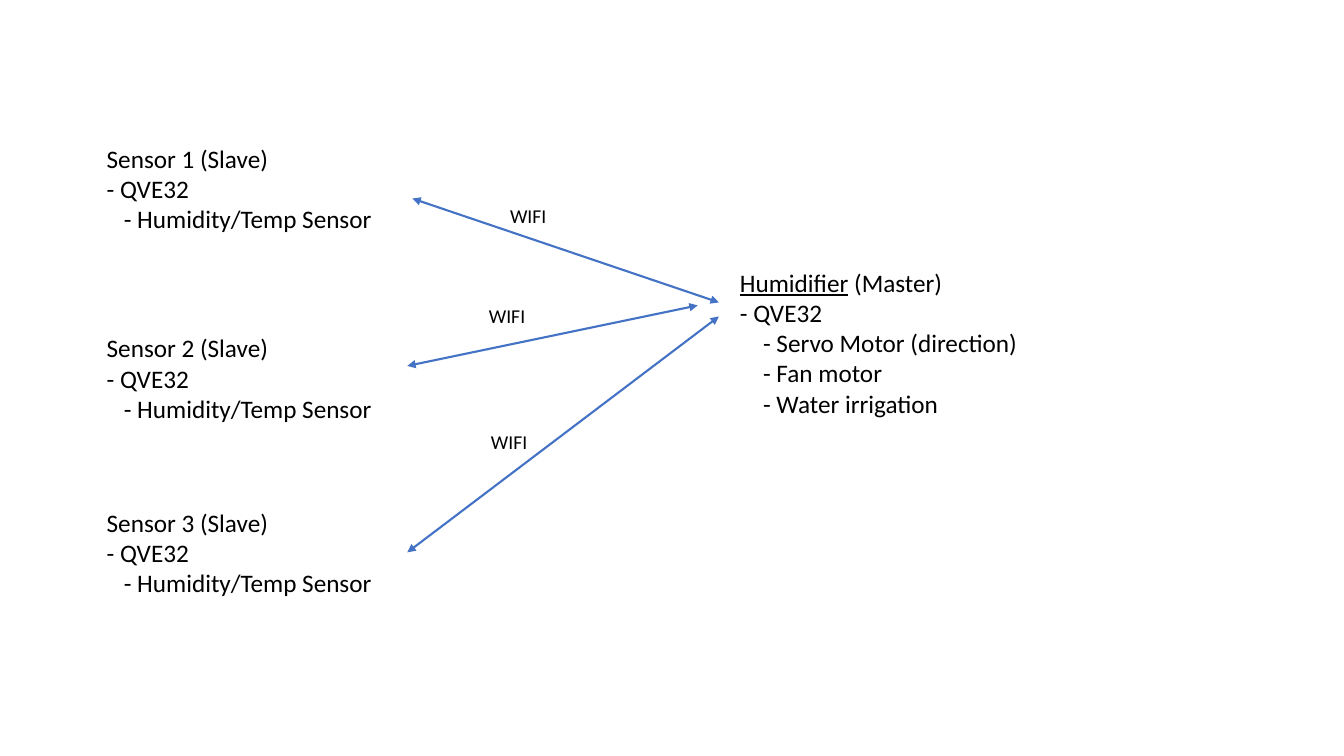
from lxml import etree
from pptx import Presentation
from pptx.dml.color import RGBColor
from pptx.enum.shapes import MSO_CONNECTOR
from pptx.enum.text import MSO_AUTO_SIZE
from pptx.oxml.ns import qn
from pptx.util import Pt

EMU_PER_PX = 9144
STRAIGHT = MSO_CONNECTOR.STRAIGHT
GROW_TO_FIT = MSO_AUTO_SIZE.SHAPE_TO_FIT_TEXT
FONT = "Calibri"
BLACK = "000000"
BLUE = "4472C4"
CONTROLLER = "QVE32"
SENSOR_INDENT = 17
HUMIDIFIER_INDENT = 23


def px(length):
    """Turn a length in px, 100 to the inch, into EMU."""
    return length * EMU_PER_PX


def color(hex_string):
    """Turn a hex string into a colour."""
    return RGBColor.from_string(hex_string)


def add_run(paragraph, text, size, underline=False):
    """Add one run of black text to a paragraph."""
    run = paragraph.add_run()
    run.text = text
    run.font.name = FONT
    run.font.size = Pt(size)
    run.font.color.rgb = color(BLACK)
    if underline:
        run.font.underline = True


def add_text(slide, left, top, width, height, size, lines):
    """Add a text box from lines of (indent, runs), each run being (text, underline)."""
    shape = slide.shapes.add_textbox(px(left), px(top), px(width), px(height))
    frame = shape.text_frame
    frame.word_wrap = True
    frame.auto_size = GROW_TO_FIT
    for index, (indent, runs) in enumerate(lines):
        paragraph = frame.add_paragraph() if index else frame.paragraphs[0]
        if indent:
            paragraph._p.get_or_add_pPr().set("marL", str(px(indent)))
        for text, underline in runs:
            add_run(paragraph, text, size, underline)


def add_device(slide, left, top, width, height, title_runs, parts, indent):
    """Add a device title, its controller and the parts indented below it."""
    lines = [(0, title_runs), (0, [(f"- {CONTROLLER}", False)])]
    lines += [(indent, [(f"- {part}", False)]) for part in parts]
    add_text(slide, left, top, width, height, 18, lines)


def add_double_arrow(slide, start, end):
    """Add a blue line with a triangle at both ends."""
    connector = slide.shapes.add_connector(STRAIGHT, *map(px, start + end))
    connector.line.color.rgb = color(BLUE)
    connector.line.width = Pt(1.5)
    properties = connector.element.spPr
    line = properties.find(qn("a:ln"))
    for end_tag in ("a:headEnd", "a:tailEnd"):
        etree.SubElement(line, qn(end_tag), type="triangle")
    etree.SubElement(properties, qn("a:effectLst"))


def main():
    """Build the sensor network slide and save it."""
    presentation = Presentation()
    presentation.slide_width = px(1333)
    presentation.slide_height = px(750)
    slide = presentation.slides.add_slide(presentation.slide_layouts[6])

    add_device(slide, 724, 260, 432, 162,
               [("Humidifier", True), (" (Master)", False)],
               ["Servo Motor (direction)", "Fan motor", "Water irrigation"],
               HUMIDIFIER_INDENT)
    for number, top in enumerate((137, 325, 498), start=1):
        add_device(slide, 96, top, 292, 101,
                   [(f"Sensor {number} (Slave)", False)],
                   ["Humidity/Temp Sensor"], SENSOR_INDENT)

    links = [
        ((409, 197), (713, 300), (496, 197)),
        ((404, 363), (692, 303), (475, 297)),
        ((404, 548), (713, 314), (477, 422)),
    ]
    for start, end, _ in links:
        add_double_arrow(slide, start, end)
    for _, _, (left, top) in links:
        add_text(slide, left, top, 171, 34, 14, [(0, [("WIFI", False)])])

    presentation.save("out.pptx")


if __name__ == "__main__":
    main()
